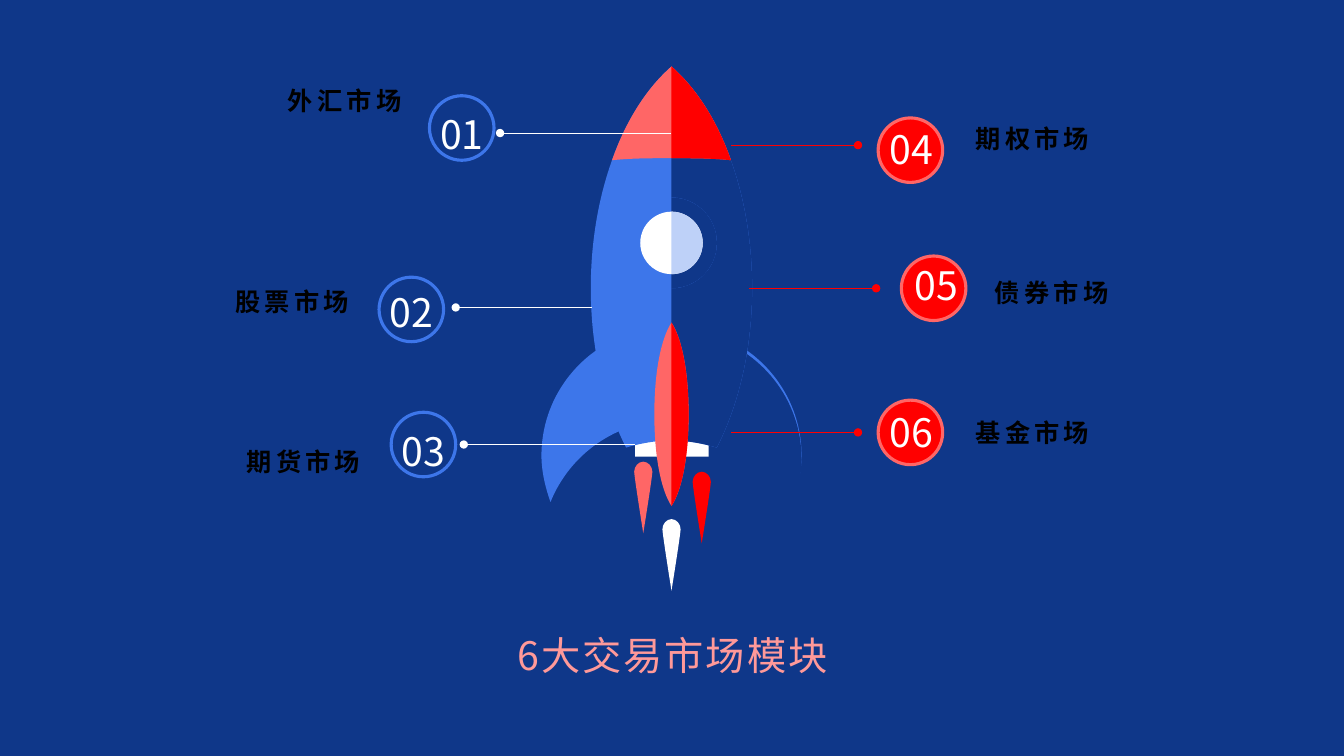
from pptx import Presentation
from pptx.dml.color import RGBColor
from pptx.enum.shapes import MSO_CONNECTOR, MSO_SHAPE
from pptx.enum.text import MSO_ANCHOR, MSO_AUTO_SIZE, PP_ALIGN
from pptx.oxml.ns import qn
from pptx.util import Pt

PX = 9144  # 100 px to the inch
STRAIGHT = MSO_CONNECTOR.STRAIGHT
OVAL, RECT = MSO_SHAPE.OVAL, MSO_SHAPE.RECTANGLE
LEFT, CENTER, RIGHT = PP_ALIGN.LEFT, PP_ALIGN.CENTER, PP_ALIGN.RIGHT
TOP, MIDDLE = MSO_ANCHOR.TOP, MSO_ANCHOR.MIDDLE
GROW, FIXED = MSO_AUTO_SIZE.SHAPE_TO_FIT_TEXT, MSO_AUTO_SIZE.NONE

THEME = {
    "navy": RGBColor(0x0F, 0x37, 0x89),
    "blue": RGBColor(0x3D, 0x76, 0xEA),
    "pale": RGBColor(0xBE, 0xD1, 0xF8),
    "red": RGBColor(0xFF, 0x00, 0x00),
    "coral": RGBColor(0xFF, 0x66, 0x66),
    "pink": RGBColor(0xFF, 0x99, 0x99),
    "white": RGBColor(0xFF, 0xFF, 0xFF),
    "black": RGBColor(0x00, 0x00, 0x00),
    "font": "Noto Sans CJK SC",
    "number": {"size": Pt(28), "bold": False},
    "label": {"size": Pt(18), "bold": True},
    "title": {"size": Pt(28), "bold": False},
}
# Text roles: colour, letter spacing, box size, frame format
ROLES = {
    "number": ("white", 0, 66, 66, {
        "vertical_anchor": TOP, "auto_size": GROW}),
    "label": ("black", 300, 192, 50, {
        "vertical_anchor": MIDDLE, "auto_size": FIXED, "margin_bottom": 0}),
    "title": ("pink", 150, 366, 77, {
        "vertical_anchor": MIDDLE, "auto_size": FIXED}),
}

prs = Presentation()
prs.slide_width, prs.slide_height = 1333 * PX, 750 * PX
slide = prs.slides.add_slide(prs.slide_layouts[6])
slide.background.fill.solid()
slide.background.fill.fore_color.rgb = THEME["navy"]
shapes = slide.shapes


def paint(shape, fill, edge=None):
    shape.shadow.inherit = False
    shape.fill.solid()
    shape.fill.fore_color.rgb = THEME[fill]
    if edge:
        shape.line.color.rgb = THEME[edge]
        shape.line.width = Pt(2.25)
    else:
        shape.line.fill.background()


def add_curve(points, fill, axis=None):
    """Closed cubic curve; with an axis, points are its mirrored right half."""
    if axis is not None:
        points = points + [(2 * axis - x, y) for x, y in points[-2::-1]]
    builder = shapes.build_freeform(*points[0], scale=PX)
    builder.add_line_segments(points[1:], close=True)
    outline = builder.convert_to_shape()
    segments = list(outline._element.iter(qn("a:lnTo")))
    for i in range(0, len(segments), 3):
        bezier = segments[i].makeelement(qn("a:cubicBezTo"), {})
        segments[i].addprevious(bezier)
        for segment in segments[i:i + 3]:
            bezier.append(segment[0])
            segment.getparent().remove(segment)
    paint(outline, fill)


# Flames and nozzle
AXIS = 666
FLAME = [(0, 0), (5, 0), (9, 5), (9, 10), (9, 15), (0, 71), (0, 71)]
for center, top, fill in [(638, 458, "coral"), (666, 515, "white"),
                          (696, 468, "red")]:
    add_curve([(center + x, top + y) for x, y in FLAME], fill, center)
paint(shapes.add_shape(RECT, 630 * PX, 429 * PX, 73 * PX, 24 * PX), "white")

# Wings, with the right one shaded
add_curve([(666, 324), (737, 324), (795, 381), (795, 452), (795, 468),
           (791, 484), (786, 498), (767, 451), (721, 417), (666, 417)],
          "blue", AXIS)
add_curve([(699, 332), (699, 425), (699, 425), (699, 425), (739, 435),
           (771, 464), (786, 502), (791, 488), (795, 472), (795, 455),
           (795, 396), (754, 346), (699, 332)], "navy")

# Body, nose and centre fin: full outline, then the shaded right half
BODY = [(666, 66), (713, 107), (746, 190), (746, 286), (746, 346),
        (733, 401), (711, 444), (697, 440), (682, 437), (666, 437)]
NOSE = [(666, 66), (690, 87), (711, 119), (725, 159), (706, 157),
        (686, 157), (666, 157)]
FIN = [(666, 320), (677, 337), (683, 371), (683, 411), (683, 451),
       (677, 485), (666, 502)]
for half, light, dark in [(BODY, "blue", "navy"), (NOSE, "coral", "red"),
                          (FIN, "coral", "red")]:
    add_curve(half, light, AXIS)
    add_curve(half, dark)

# Porthole: ring and glass
PORT_Y = 241
for radius, light, dark in [(45, "blue", "navy"), (31, "white", "pale")]:
    paint(shapes.add_shape(OVAL, (AXIS - radius) * PX, (PORT_Y - radius) * PX,
                           2 * radius * PX, 2 * radius * PX), light)
    bend = round(radius * 0.55)
    add_curve([(AXIS + x, PORT_Y + y) for x, y in [
        (0, -radius), (bend, -radius), (radius, -bend), (radius, 0),
        (radius, bend), (bend, radius), (0, radius)]], dark)

# Markets: number, name, circle, number box, name box, dot, pointer end
MARKETS = [
    ("01", "外汇市场", (426, 95), (425, 95), (216, 69), (496, 132), 666),
    ("02", "股票市场", (376, 275), (375, 272), (164, 269), (452, 305), 587),
    ("03", "期货市场", (388, 409), (387, 410), (175, 427), (460, 441), 630),
    ("04", "期权市场", (871, 117), (871, 110), (958, 107), (851, 144), 725),
    ("05", "债券市场", (894, 254), (896, 245), (977, 260), (869, 286), 743),
    ("06", "基金市场", (871, 397), (871, 391), (958, 399), (851, 429), 725),
]
texts = [("title", "6大交易市场模块", (484, 606), CENTER)]
for number, name, circle, number_at, name_at, dot, tip in MARKETS:
    on_left = dot[0] < AXIS
    pointer = shapes.add_connector(STRAIGHT, dot[0] * PX, dot[1] * PX,
                                   tip * PX, dot[1] * PX)
    pointer.line.color.rgb = THEME["white" if on_left else "red"]
    pointer.line.width = Pt(0.5)
    stroke = pointer.line._get_or_add_ln()
    stroke.append(stroke.makeelement(qn("a:headEnd"), {"type": "oval"}))
    stroke.addnext(stroke.makeelement(qn("a:effectLst"), {}))
    badge = shapes.add_shape(OVAL, circle[0] * PX, circle[1] * PX,
                             64 * PX, 64 * PX)
    paint(badge, *(("navy", "blue") if on_left else ("red", "coral")))
    texts += [("number", number, number_at, CENTER),
              ("label", name, name_at, RIGHT if on_left else LEFT)]

# All wording
for role, wording, (x, y), align in texts:
    color, spacing, width, height, frame_format = ROLES[role]
    box = shapes.add_textbox(x * PX, y * PX, width * PX, height * PX)
    frame = box.text_frame
    frame.word_wrap = True
    for key, value in frame_format.items():
        setattr(frame, key, value)
    line = frame.paragraphs[0]
    line.alignment, line.line_spacing = align, 1.2
    run = line.add_run()
    run.text = wording
    for key, value in {"name": THEME["font"], **THEME[role]}.items():
        setattr(run.font, key, value)
    run.font.color.rgb = THEME[color]
    props = run._r.get_or_add_rPr()
    props.set("spc", str(spacing))
    props.find(qn("a:latin")).addnext(
        props.makeelement(qn("a:ea"), {"typeface": THEME["font"]}))

prs.save("out.pptx")
